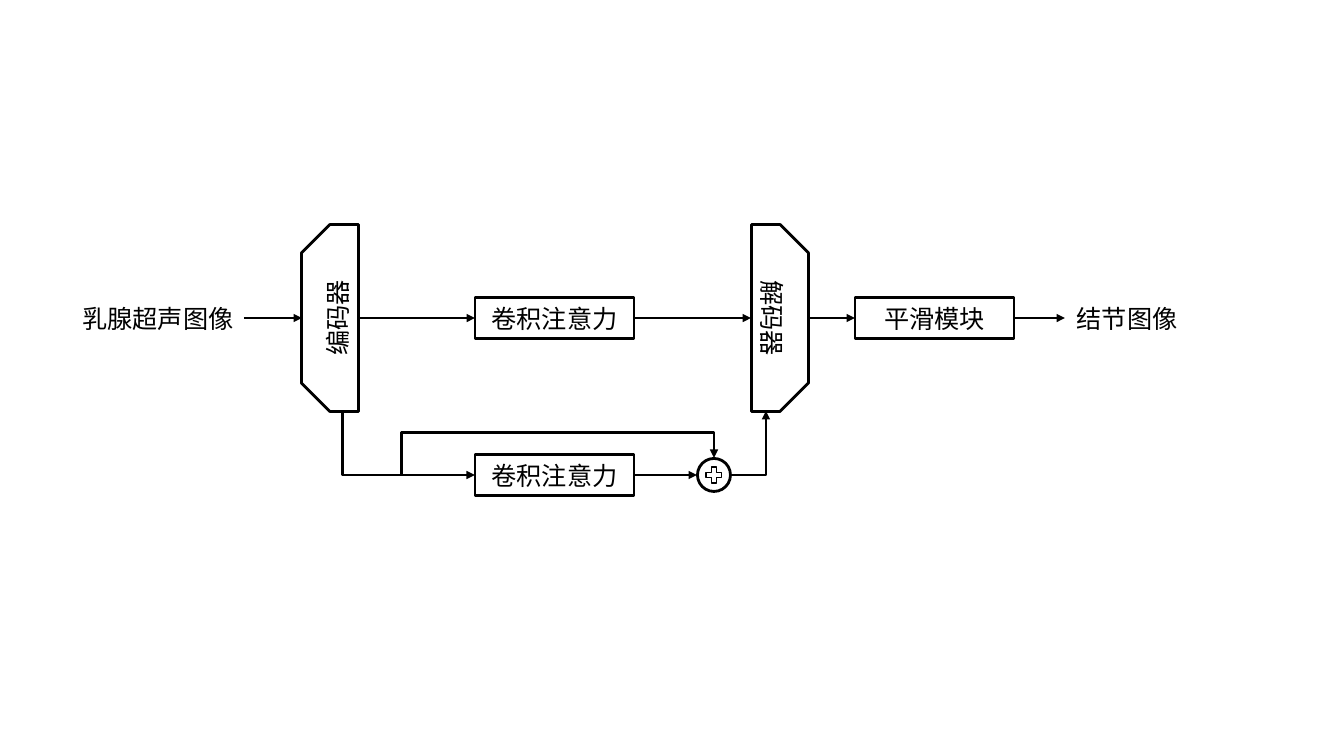
from lxml import etree
from pptx import Presentation
from pptx.dml.color import RGBColor
from pptx.enum.shapes import MSO_CONNECTOR, MSO_SHAPE
from pptx.enum.text import MSO_ANCHOR, PP_ALIGN
from pptx.oxml.ns import qn
from pptx.util import Pt

RECTANGLE = MSO_SHAPE.RECTANGLE
CIRCLE = MSO_SHAPE.OVAL
PLUS = MSO_SHAPE.MATH_PLUS
SNIPPED = MSO_SHAPE.SNIP_2_SAME_RECTANGLE
STRAIGHT = MSO_CONNECTOR.STRAIGHT
ELBOW = MSO_CONNECTOR.ELBOW
MIDDLE = MSO_ANCHOR.MIDDLE
CENTER = PP_ALIGN.CENTER

BLACK = RGBColor(0x00, 0x00, 0x00)
WHITE = RGBColor(0xFF, 0xFF, 0xFF)
FONT = "Noto Sans CJK SC"
PX = 914400 / 100.8

MAIN_Y = 318
SKIP_Y = 475
ATTENTION_X = 475
SMOOTHING_X = 855
MODULE_W = 159
MODULE_H = 41


def emu(*lengths):
    return [round(length * PX) for length in lengths]


def write(frame, text):
    frame.text = text
    frame.vertical_anchor = MIDDLE
    paragraph = frame.paragraphs[0]
    paragraph.alignment = CENTER
    font = paragraph.runs[0].font
    font.size = Pt(18)
    font.name = FONT
    font.color.rgb = BLACK
    east_asian = etree.SubElement(paragraph.runs[0].font._element, qn("a:ea"))
    east_asian.set("typeface", FONT)


def add_label(slide, left, width, text):
    label = slide.shapes.add_textbox(*emu(left, MAIN_Y - 20, width, 40))
    label.text_frame.word_wrap = False
    write(label.text_frame, text)


def add_block(slide, kind, center_x, center_y, width, height, text="", weight=2):
    block = slide.shapes.add_shape(
        kind, *emu(center_x - width / 2, center_y - height / 2, width, height))
    block.shadow.inherit = False
    block.fill.solid()
    block.fill.fore_color.rgb = WHITE
    block.line.color.rgb = BLACK
    block.line.width = Pt(weight)
    if text:
        write(block.text_frame, text)
    return block


def add_module(slide, left, center_y, text):
    add_block(slide, RECTANGLE, left + MODULE_W / 2, center_y, MODULE_W, MODULE_H, text)


def add_coder(slide, center_x, rotation, text):
    coder = add_block(slide, SNIPPED, center_x, MAIN_Y, 187, 57, text)
    coder.adjustments[0] = 0.5
    coder.adjustments[1] = 0
    coder.rotation = rotation


def add_arrow(slide, start, end, kind=STRAIGHT):
    arrow = slide.shapes.add_connector(kind, *emu(*start, *end))
    arrow.line.color.rgb = BLACK
    arrow.line.width = Pt(2)
    properties = arrow._element.spPr
    head = etree.SubElement(properties.find(qn("a:ln")), qn("a:tailEnd"))
    head.set("type", "triangle")
    etree.SubElement(properties, qn("a:effectLst"))
    return arrow


def add_bent_arrow(slide, start, end, preset, bends=()):
    arrow = add_arrow(slide, start, end, ELBOW)
    geometry = arrow._element.spPr.find(qn("a:prstGeom"))
    geometry.set("prst", preset)
    guides = geometry.find(qn("a:avLst"))
    if guides is None:
        guides = etree.SubElement(geometry, qn("a:avLst"))
    for number, bend in enumerate(bends, 1):
        guide = etree.SubElement(guides, qn("a:gd"))
        guide.set("name", f"adj{number}")
        guide.set("fmla", f"val {round(bend * 100000)}")


def main():
    deck = Presentation()
    deck.slide_width, deck.slide_height = emu(1344, 756)
    slide = deck.slides.add_slide(deck.slide_layouts[6])

    add_label(slide, 72, 172, "乳腺超声图像")
    add_label(slide, 1064, 126, "结节图像")
    add_coder(slide, 330, 270, "编码器")
    add_coder(slide, 780, 90, "解码器")
    add_module(slide, ATTENTION_X, MAIN_Y, "卷积注意力")
    add_module(slide, ATTENTION_X, SKIP_Y, "卷积注意力")
    add_module(slide, SMOOTHING_X, MAIN_Y, "平滑模块")
    add_block(slide, CIRCLE, 714, SKIP_Y, 33, 33)
    add_block(slide, PLUS, 714, SKIP_Y, 21, 21, weight=1.2)

    attention_end = ATTENTION_X + MODULE_W
    smoothing_end = SMOOTHING_X + MODULE_W
    for start_x, end_x, y in (
        (244, 302, MAIN_Y),
        (359, ATTENTION_X, MAIN_Y),
        (attention_end, 751, MAIN_Y),
        (808, SMOOTHING_X, MAIN_Y),
        (smoothing_end, 1065, MAIN_Y),
        (attention_end, 697, SKIP_Y),
    ):
        add_arrow(slide, (start_x, y), (end_x, y))

    add_bent_arrow(slide, (342, 411), (ATTENTION_X, SKIP_Y), "bentConnector3", (0.005,))
    add_bent_arrow(slide, (422, SKIP_Y), (714, 458), "bentConnector4", (-0.07, 2.5))
    add_bent_arrow(slide, (731, SKIP_Y), (766, 411), "bentConnector2")

    deck.save("out.pptx")


if __name__ == "__main__":
    main()
